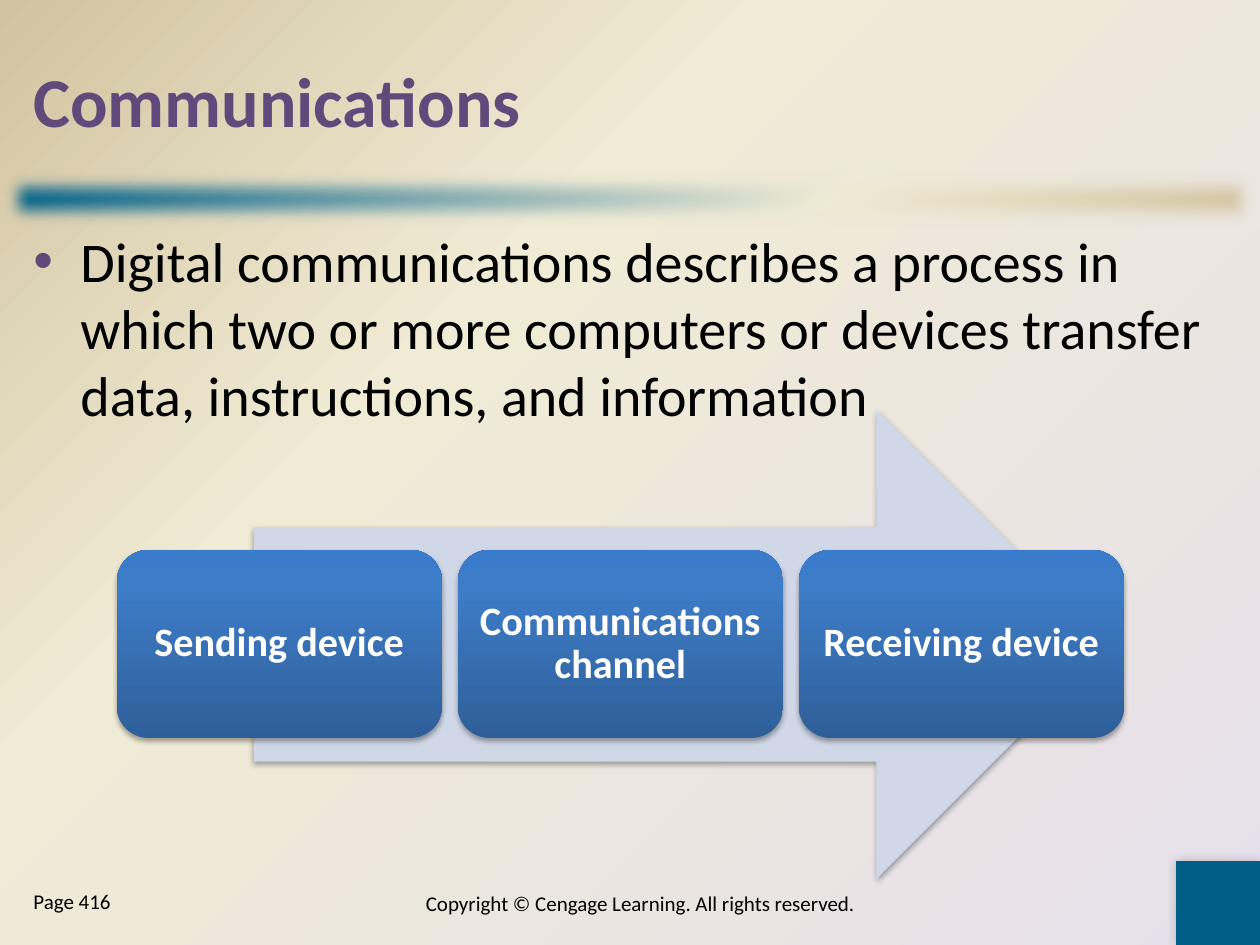
"""Build the Communications slide with its three-stage process arrow."""
import pptx
import pptx.util
import pptx.dml.color
import pptx.enum.shapes
import pptx.enum.text
import pptx.oxml
import pptx.oxml.ns

RGB = pptx.dml.color.RGBColor
SHAPE = pptx.enum.shapes.MSO_SHAPE
ANCHOR = pptx.enum.text.MSO_ANCHOR
ALIGN = pptx.enum.text.PP_ALIGN

PX = 914400 / 126
FONT = "Calibri"
PURPLE = RGB(0x60, 0x4A, 0x7B)
TEAL = RGB(0x00, 0x5F, 0x86)
LAVENDER = RGB(0xE6, 0xE0, 0xEC)
CREAM = RGB(0xF0, 0xEB, 0xD5)
TAN = RGB(0xD1, 0xC3, 0x9F)
PALE_BLUE = RGB(0xD0, 0xD8, 0xE8)
BLUES = (RGB(0x2F, 0x5F, 0x99), RGB(0x3D, 0x7C, 0xC7), RGB(0x3A, 0x7C, 0xCB))
BLACK = RGB(0, 0, 0)
WHITE = RGB(0xFF, 0xFF, 0xFF)

TITLE = "Communications"
BODY = ("Digital communications describes a process in which two or more "
        "computers or devices transfer data, instructions, and information")
COPYRIGHT = "Copyright © Cengage Learning. All rights reserved."
PAGE = "Page 416"
STAGES = ["Sending device", "Communications channel", "Receiving device"]
STAGE_LEFT, STAGE_TOP, STAGE_W, STAGE_H, STAGE_GAP = 117, 550, 325, 188, 16

LINEAR = '<a:lin {ns} ang="{angle}" scaled="0"/>'
CORNER = ('<a:path {ns} path="circle"><a:fillToRect l="100000" t="100000"/></a:path>',
          '<a:tileRect {ns} r="-100000" b="-100000"/>')
SHADOW = ('<a:outerShdw {ns} blurRad="{blur}" dist="{dist}" dir="{angle}" '
          'algn="ctr" rotWithShape="0"><a:srgbClr val="000000">'
          '<a:alpha val="{alpha}"/></a:srgbClr></a:outerShdw>')
SOFT_EDGE = '<a:softEdge {ns} rad="{radius}"/>'
BULLET = ('<a:buClr {ns}><a:srgbClr val="{color}"/></a:buClr>',
          '<a:buFont {ns} typeface="Arial"/>', '<a:buChar {ns} char="•"/>')


def px(n):
    return pptx.util.Emu(round(n * PX))


def xml(template, **values):
    ns = pptx.oxml.ns.nsdecls("a")
    return pptx.oxml.parse_xml(template.format(ns=ns, **values))


def set_gradient(fill, owner, stops, angle=None):
    fill.gradient()
    grad = owner.find(".//" + pptx.oxml.ns.qn("a:gradFill"))
    for child in list(grad):
        grad.remove(child)
    gs = "".join(f'<a:gs pos="{pos * 1000}"><a:srgbClr val="{color}"/></a:gs>'
                 for pos, color in stops)
    grad.append(xml("<a:gsLst {ns}>" + gs + "</a:gsLst>"))
    if angle is None:
        for part in CORNER:
            grad.append(xml(part))
    else:
        grad.append(xml(LINEAR, angle=angle * 60000))


def add_effect(sp, template, **values):
    effects = sp.element.spPr.find(pptx.oxml.ns.qn("a:effectLst"))
    effects.append(xml(template, **values))


def add_shadow(sp, alpha, blur, dist, angle):
    add_effect(sp, SHADOW, alpha=alpha * 1000, blur=pptx.util.Pt(blur),
               dist=pptx.util.Pt(dist), angle=angle * 60000)


def add_shape(s, kind, box, color=None):
    sp = s.shapes.add_shape(kind, *map(px, box))
    sp.shadow.inherit = False
    sp.line.fill.background()
    if color is not None:
        sp.fill.solid()
        sp.fill.fore_color.rgb = color
    return sp


def write(sp, text, size, color, bold=False, align=ALIGN.LEFT, anchor=ANCHOR.TOP):
    tf = sp.text_frame
    tf.word_wrap = True
    tf.vertical_anchor = anchor
    p = tf.paragraphs[0]
    p.alignment = align
    r = p.add_run()
    r.text = text
    r.font.name = FONT
    r.font.size = pptx.util.Pt(size)
    r.font.bold = bold
    r.font.color.rgb = color
    return p


def add_text(s, box, *args, **kwargs):
    return write(s.shapes.add_textbox(*map(px, box)), *args, **kwargs)


def add_stage(s, index, text):
    left = STAGE_LEFT + index * (STAGE_W + STAGE_GAP)
    sp = add_shape(s, SHAPE.ROUNDED_RECTANGLE, (left, STAGE_TOP, STAGE_W, STAGE_H))
    set_gradient(sp.fill, sp.element, zip((0, 80, 100), BLUES), 270)
    add_shadow(sp, 35, 3.1, 1.8, 90)
    tf = sp.text_frame
    tf.margin_left = tf.margin_right = tf.margin_top = tf.margin_bottom = px(11)
    p = write(sp, text, 23, WHITE, True, ALIGN.CENTER, ANCHOR.MIDDLE)
    p.line_spacing = 0.9


def main():
    prs = pptx.Presentation()
    prs.slide_width, prs.slide_height = px(1260), px(945)
    s = prs.slides.add_slide(prs.slide_layouts[6])
    set_gradient(s.background.fill, s.element,
                 [(0, LAVENDER), (65, CREAM), (100, TAN)])

    bar = add_shape(s, SHAPE.RECTANGLE, (0, 168, 1260, 63))
    set_gradient(bar.fill, bar.element, [(0, TEAL), (65, CREAM), (100, TAN)], 45)
    add_effect(bar, SOFT_EDGE, radius=pptx.util.Pt(10))
    corner = add_shape(s, SHAPE.RECTANGLE, (1176, 861, 84, 84), TEAL)
    add_shadow(corner, 20, 6, 0, 225)

    add_text(s, (21, 21, 1218, 158), TITLE, 40, PURPLE, True, anchor=ANCHOR.MIDDLE)
    p = add_text(s, (21, 220, 1218, 640), BODY, 32, BLACK)
    pPr = p._p.get_or_add_pPr()
    pPr.set("marL", str(px(47)))
    pPr.set("indent", str(-px(47)))
    for part in BULLET:
        pPr.append(xml(part, color=PURPLE))
    add_text(s, (378, 872, 525, 63), COPYRIGHT, 12, BLACK,
             align=ALIGN.CENTER, anchor=ANCHOR.MIDDLE)
    add_text(s, (21, 882, 231, 63), PAGE, 12, BLACK)

    arrow = add_shape(s, SHAPE.RIGHT_ARROW, (254, 410, 857, 469), PALE_BLUE)
    add_shadow(arrow, 35, 3.1, 1.8, 90)
    for index, text in enumerate(STAGES):
        add_stage(s, index, text)
    prs.save("out.pptx")


if __name__ == "__main__":
    main()
